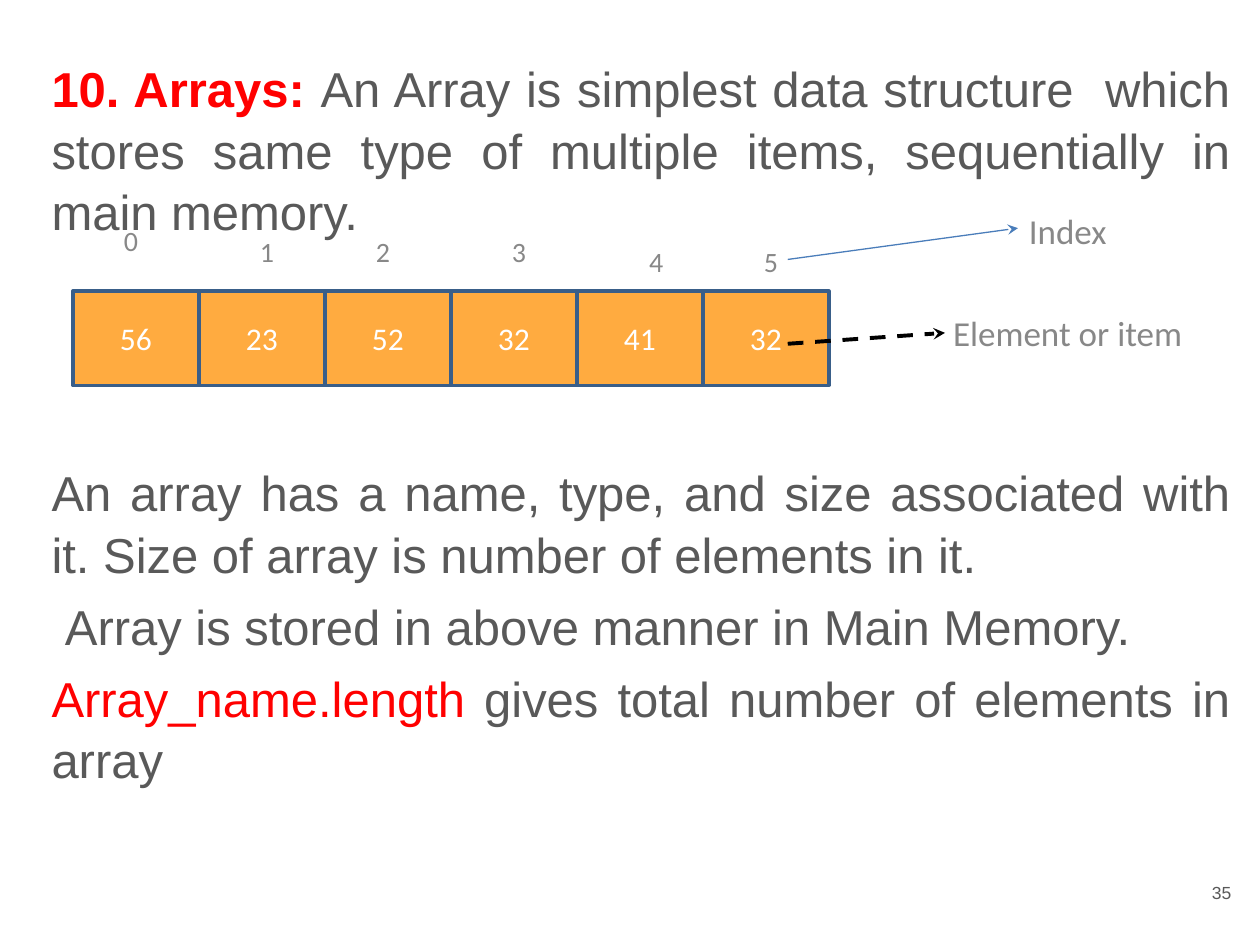
import pptx
import pptx.util
import pptx.dml.color
import pptx.enum.dml
import pptx.enum.shapes
import pptx.enum.text
import pptx.oxml

Cm = pptx.util.Cm
Pt = pptx.util.Pt
Align = pptx.enum.text.PP_ALIGN
Anchor = pptx.enum.text.MSO_ANCHOR
Dash = pptx.enum.dml.MSO_LINE

COLOURS = {"red": "FF0000", "body": "595959", "label": "888888", "cell": "FFAB40",
           "border": "395E89", "arrow": "4A7DBA", "black": "000000", "white": "FFFFFF"}
FORMATS = {
    "lead": {"name": "Arial", "size": Pt(28), "bold": True, "colour": "red"},
    "code": {"name": "Arial", "size": Pt(28), "colour": "red"},
    "body": {"name": "Arial", "size": Pt(28), "colour": "body"},
    "value": {"name": "Calibri", "size": Pt(18), "colour": "white"},
    "index": {"name": "Calibri", "size": Pt(16), "colour": "label"},
    "caption": {"name": "Calibri", "size": Pt(20), "colour": "label"},
    "number": {"name": "Arial", "size": Pt(10), "colour": "body"},
}
BODY = [
    (0, 0, [("10. Arrays: ", "lead"),
            ("An Array is simplest data structure  which stores same type of "
             "multiple items, sequentially in main memory.", "body")]),
    (126, 0, [("An array has a name, type, and size associated with it. "
               "Size of array is number of elements in it.", "body")]),
    (6.4, 0.27, [("Array is stored in above manner in Main Memory.", "body")]),
    (6.4, 0, [("Array_name.length", "code"),
              (" gives total number of elements in array", "body")]),
]
VALUES = [56, 23, 52, 32, 41, 32]
INDEX_PLACES = [(1.27, 4.39), (4.01, 4.6), (6.35, 4.6), (9.09, 4.6), (11.86, 4.8), (14.17, 4.8)]


class Painter:
    """Holds the style and the current page, and draws each kind of element."""

    def __init__(self, page, colours, formats):
        self.page = page
        self.colours = colours
        self.formats = formats

    def colour(self, name):
        return pptx.dml.color.RGBColor.from_string(self.colours[name])

    def span(self, para, text, style):
        span = para.add_run()
        span.text = text
        for key, value in self.formats[style].items():
            if key == "colour":
                span.font.color.rgb = self.colour(value)
            else:
                setattr(span.font, key, value)

    def box(self, left, top, width, height, anchor=Anchor.TOP):
        box = self.page.shapes.add_textbox(Cm(left), Cm(top), Cm(width), Cm(height))
        box.text_frame.word_wrap = True
        box.text_frame.vertical_anchor = anchor
        return box.text_frame

    def label(self, text, style, place, align=Align.CENTER, anchor=Anchor.TOP):
        para = self.box(*place, anchor).paragraphs[0]
        para.alignment = align
        self.span(para, text, style)

    def body(self, paragraphs, place):
        frame = self.box(*place)
        frame.margin_top = Cm(0.2)
        for number, (before, indent, spans) in enumerate(paragraphs):
            para = frame.add_paragraph() if number else frame.paragraphs[0]
            layout = {"alignment": Align.JUSTIFY, "line_spacing": 1.04, "space_before": Pt(before)}
            for key, value in layout.items():
                setattr(para, key, value)
            if indent:
                para._p.get_or_add_pPr().set("indent", str(Cm(indent)))
            for text, style in spans:
                self.span(para, text, style)

    def cell(self, text, left, top, width, height):
        cell = self.page.shapes.add_shape(pptx.enum.shapes.MSO_SHAPE.RECTANGLE,
                                          Cm(left), Cm(top), Cm(width), Cm(height))
        cell.shadow.inherit = False
        cell.fill.solid()
        cell.fill.fore_color.rgb = self.colour("cell")
        cell.line.color.rgb = self.colour("border")
        cell.line.width = Pt(2)
        cell.text_frame.vertical_anchor = Anchor.MIDDLE
        para = cell.text_frame.paragraphs[0]
        para.alignment = Align.CENTER
        self.span(para, text, "value")

    def arrow(self, start, end, colour, width, dash=None):
        arrow = self.page.shapes.add_connector(pptx.enum.shapes.MSO_CONNECTOR.STRAIGHT,
                                               *map(Cm, start + end))
        arrow.line.color.rgb = self.colour(colour)
        arrow.line.width = Pt(width)
        if dash:
            arrow.line.dash_style = dash
        namespace = pptx.oxml.ns.nsdecls("a")
        tail = pptx.oxml.parse_xml(f'<a:tailEnd {namespace} type="stealth"/>')
        arrow.line._get_or_add_ln().append(tail)
        arrow._element.spPr.append(pptx.oxml.parse_xml(f"<a:effectLst {namespace}/>"))


def main():
    deck = pptx.Presentation()
    deck.slide_width, deck.slide_height = Cm(25.4), Cm(19.05)
    painter = Painter(deck.slides.add_slide(deck.slide_layouts[6]), COLOURS, FORMATS)
    painter.body(BODY, (0.79, 0.94, 24.26, 17.78))
    for index, (value, place) in enumerate(zip(VALUES, INDEX_PLACES)):
        painter.cell(str(value), 1.47 + 2.54 * index, 5.87, 2.54, 1.9)
        painter.label(str(index), "index", place + (2.74, 1.47))
    painter.arrow((15.88, 5.23), (20.52, 4.6), "arrow", 0.75)
    painter.arrow((15.88, 6.93), (19.05, 6.71), "black", 2.25, Dash.DASH)
    for text, top in (("Index", 4.09), ("Element or item", 6.15)):
        painter.label(text, "caption", (18.77, top, 5.51, 1.7))
    painter.label("35", "number", (23.55, 17.27, 1.52, 1.45), Align.RIGHT, Anchor.MIDDLE)
    deck.save("out.pptx")


if __name__ == "__main__":
    main()
